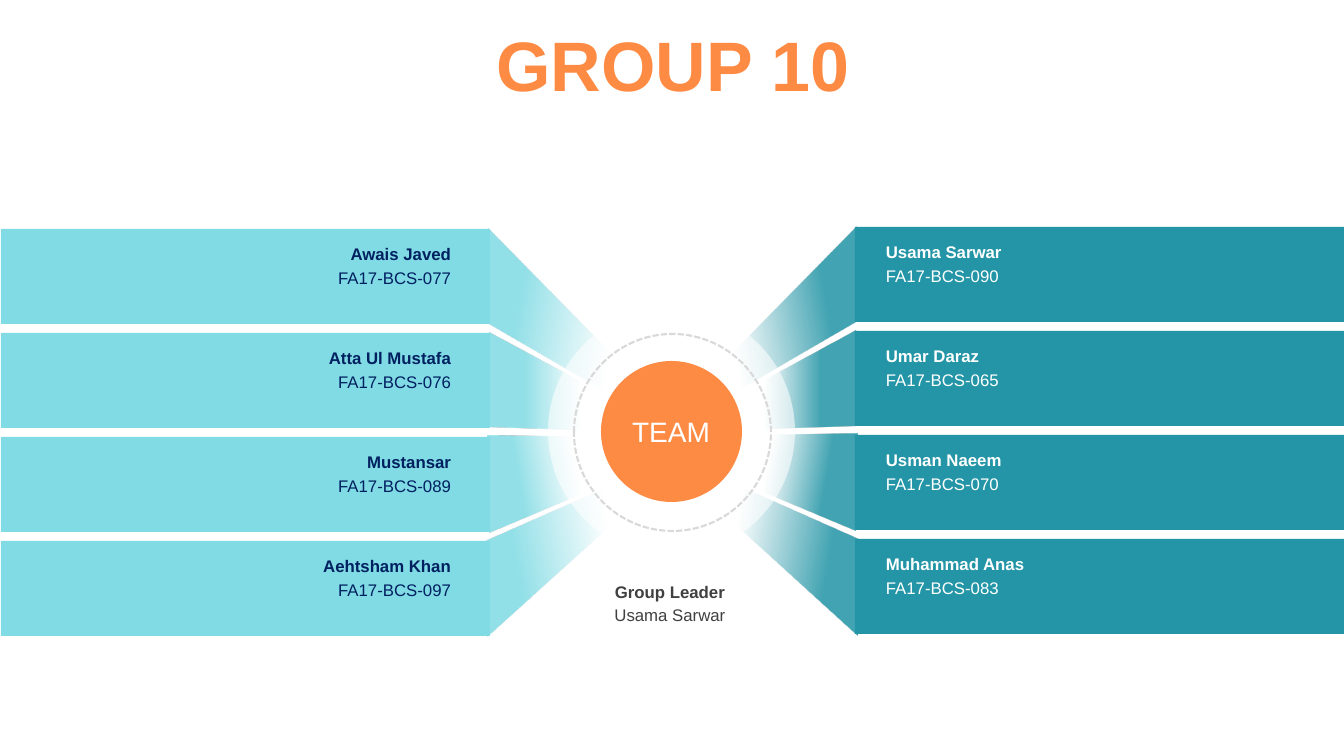
from lxml import etree
from pptx import Presentation
from pptx.dml.color import RGBColor
from pptx.enum.dml import MSO_LINE
from pptx.enum.shapes import MSO_SHAPE
from pptx.enum.text import MSO_ANCHOR, MSO_AUTO_SIZE, PP_ALIGN
from pptx.oxml.ns import qn
from pptx.util import Pt

PX = 9144000 / 1008  # EMU per px, at 100.8 px to the inch
COLORS = {
    "orange": "FE8B44", "teal": "2395A6", "aqua": "80DBE4", "navy": "002060",
    "white": "FFFFFF", "gray": "404040", "ring": "D9D9D9",
}
RGB = {name: RGBColor.from_string(value) for name, value in COLORS.items()}
MIRROR = 1345  # a right-hand x and its left-hand x add up to this
ROW_PITCH = 104
LEFT_DROP = 2  # the left half sits slightly lower


def add_label(text, box, color, align, size=12, bold=False):
    label = slide.shapes.add_textbox(*[round(v * PX) for v in box])
    frame = label.text_frame
    frame.word_wrap = True
    frame.auto_size = MSO_AUTO_SIZE.SHAPE_TO_FIT_TEXT
    line = frame.paragraphs[0]
    line.alignment = align
    run = line.add_run()
    run.text = text
    run.font.name = "Arial"
    run.font.size = Pt(size)
    run.font.bold = bold
    run.font.color.rgb = RGB[color]


def set_alphas(shape, percents):
    """Give the fill colours of a shape, in order, their opacity."""
    for color, percent in zip(shape._element.spPr.iter(qn("a:srgbClr")), percents):
        etree.SubElement(color, qn("a:alpha")).set("val", str(percent * 1000))


prs = Presentation()
prs.slide_width = round(1344 * PX)
prs.slide_height = round(756 * PX)
slide = prs.slides.add_slide(prs.slide_layouts[5])

# Title
title = slide.shapes.title
title.left, title.top, title.width, title.height = [
    round(v * PX) for v in (35, 31, 1276, 80)]
title.text_frame.vertical_anchor = MSO_ANCHOR.MIDDLE
title.text_frame.auto_size = MSO_AUTO_SIZE.NONE
heading = title.text_frame.paragraphs[0]
heading.alignment = PP_ALIGN.CENTER
heading.line_spacing = 0.8
run = heading.add_run()
run.text = "GROUP 10"
run.font.name = "Arial"
run.font.size = Pt(50)
run.font.bold = True
run.font.color.rgb = RGB["orange"]

# Beams from the centre to the bars: right-hand outline, fade start, clockwise angle
beams = [
    ([(673, 457), (858, 539), (857, 635), (673, 468)], 0.35, 10),
    ([(673, 437), (857, 434), (855, 530), (672, 454)], 0.5, 10),
    ([(672, 415), (856, 227), (856, 322), (676, 427)], 0.35, 350),
    ([(671, 430), (855, 331), (857, 425), (672, 431)], 0.5, 0),
]
sides = [
    {"fill": "teal", "text": "white", "align": PP_ALIGN.LEFT, "mirrored": False,
     "drop": 0, "bar_x": 855, "label_x": 876, "label_w": 379,
     "members": [("Usama Sarwar", "FA17-BCS-090"), ("Umar Daraz", "FA17-BCS-065"),
                 ("Usman Naeem", "FA17-BCS-070"), ("Muhammad Anas", "FA17-BCS-083")]},
    {"fill": "aqua", "text": "navy", "align": PP_ALIGN.RIGHT, "mirrored": True,
     "drop": LEFT_DROP, "bar_x": 1, "label_x": 89, "label_w": 372,
     "members": [("Awais Javed", "FA17-BCS-077"), ("Atta Ul Mustafa", "FA17-BCS-076"),
                 ("Mustansar", "FA17-BCS-089"), ("Aehtsham Khan", "FA17-BCS-097")]},
]

for side in sides:
    for outline, fade_start, angle in beams:
        points = [(MIRROR - x if side["mirrored"] else x, y + side["drop"])
                  for x, y in outline]
        builder = slide.shapes.build_freeform(*points[0], scale=PX)
        builder.add_line_segments(points[1:], close=True)
        beam = builder.convert_to_shape()
        beam.shadow.inherit = False
        beam.line.fill.background()
        beam.fill.gradient()
        # gradient_angle counts counter-clockwise
        beam.fill.gradient_angle = (180 + angle if side["mirrored"] else 360 - angle) % 360
        for stop, position in zip(beam.fill.gradient_stops, (fade_start, 0.8)):
            stop.color.rgb = RGB[side["fill"]]
            stop.position = position
        set_alphas(beam, (0, 85))

    for row, (member, number) in enumerate(side["members"]):
        top = 227 + side["drop"] + row * ROW_PITCH
        bar = slide.shapes.add_shape(
            MSO_SHAPE.RECTANGLE,
            *[round(v * PX) for v in (side["bar_x"], top, 489, 95)])
        bar.shadow.inherit = False
        bar.fill.solid()
        bar.fill.fore_color.rgb = RGB[side["fill"]]
        bar.line.fill.background()
        for text, offset, bold in ((number, 34, False), (member, 10, True)):
            add_label(text, (side["label_x"], top + offset, side["label_w"], 30),
                      side["text"], side["align"], bold=bold)

# Centre circles: left, top, diameter, fill
for left, top, diameter, fill in ((548, 308, 247, "white"),
                                  (601, 361, 141, "orange"),
                                  (574, 334, 197, None)):
    circle = slide.shapes.add_shape(
        MSO_SHAPE.OVAL, *[round(v * PX) for v in (left, top, diameter, diameter)])
    circle.shadow.inherit = False
    if fill:
        circle.fill.solid()
        circle.fill.fore_color.rgb = RGB[fill]
        circle.line.fill.background()
        if fill == "white":
            set_alphas(circle, (57,))
    else:
        circle.fill.background()
        circle.line.color.rgb = RGB["ring"]
        circle.line.width = Pt(1.5)
        circle.line.dash_style = MSO_LINE.SQUARE_DOT

add_label("Usama Sarwar", (546, 600, 248, 30), "gray", PP_ALIGN.CENTER)
add_label("Group Leader", (546, 577, 248, 30), "gray", PP_ALIGN.CENTER, bold=True)
add_label("TEAM", (547, 410, 248, 44), "white", PP_ALIGN.CENTER, size=20)

prs.save("out.pptx")
